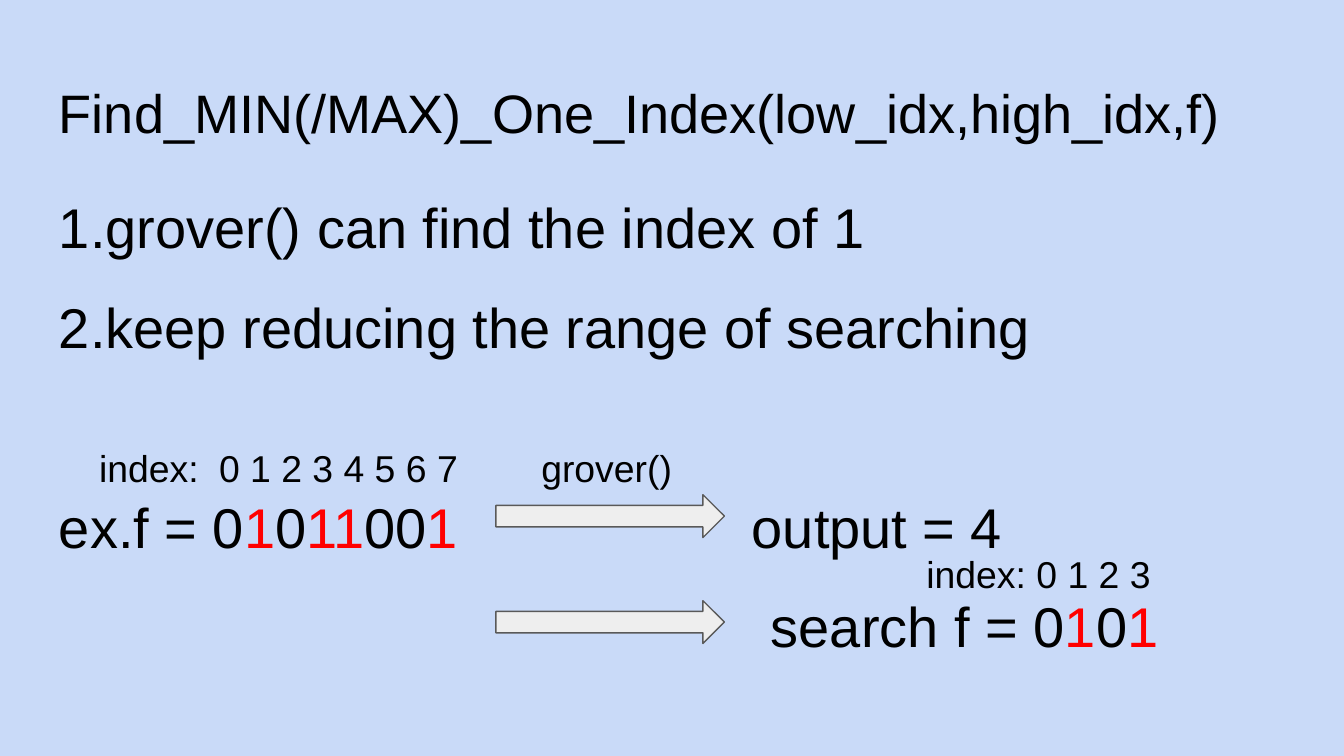
from pptx import Presentation
from pptx.dml.color import RGBColor
from pptx.enum.shapes import MSO_SHAPE
from pptx.util import Pt

RIGHT_ARROW = MSO_SHAPE.RIGHT_ARROW
BLACK, RED = "000000", "FF0000"
BACKGROUND, ARROW_FILL, ARROW_LINE = "C9DAF8", "EEEEEE", "595959"


def color(value):
    return RGBColor.from_string(value)


class SlideBuilder:
    font = "Arial"

    def __init__(self, slide):
        self.slide = slide
        slide.background.fill.solid()
        slide.background.fill.fore_color.rgb = color(BACKGROUND)

    def text(self, left, top, width, height, paragraphs, size, spacing=1.0):
        frame = self.slide.shapes.add_textbox(
            Pt(left), Pt(top), Pt(width), Pt(height)).text_frame
        frame.word_wrap = False
        frame.margin_left = frame.margin_right = Pt(7.2)
        frame.margin_top = frame.margin_bottom = Pt(7.2)
        for number, pieces in enumerate(paragraphs):
            paragraph = frame.add_paragraph() if number else frame.paragraphs[0]
            paragraph.line_spacing = spacing
            if number:
                paragraph.space_before = Pt(12)
            for content, shade in pieces:
                run = paragraph.add_run()
                run.text = content
                run.font.name = self.font
                run.font.size = Pt(size)
                run.font.color.rgb = color(shade)

    def body(self, left, top, width, height, *paragraphs):
        self.text(left, top, width, height, paragraphs, 30, 1.15)

    def label(self, left, top, width, content):
        self.text(left, top, width, 38.9, [[(content, BLACK)]], 20)

    def arrow(self, left, top, width, height):
        arrow = self.slide.shapes.add_shape(
            RIGHT_ARROW, Pt(left), Pt(top), Pt(width), Pt(height))
        arrow.shadow.inherit = False
        arrow.fill.solid()
        arrow.fill.fore_color.rgb = color(ARROW_FILL)
        arrow.line.color.rgb = color(ARROW_LINE)
        arrow.line.width = Pt(0.75)


def main():
    presentation = Presentation()
    presentation.slide_width = Pt(720)
    presentation.slide_height = Pt(405)
    builder = SlideBuilder(
        presentation.slides.add_slide(presentation.slide_layouts[6]))

    margin, body_top, row_step = 24.5, 90.7, 53.45
    example_top = body_top + 3 * row_step
    search_top = example_top + row_step

    builder.text(margin, 35.3, 671, 45.4,
                 [[("Find_MIN(/MAX)_One_Index(low_idx,high_idx,f)", BLACK)]], 29)
    builder.body(margin, body_top, 671, 108,
                 [("1.grover() can find the index of 1", BLACK)],
                 [("2.keep reducing the range of searching", BLACK)])
    builder.body(margin, example_top, 235, 54,
                 [("ex.f = 0", BLACK), ("1", RED), ("0", BLACK), ("11", RED),
                  ("00", BLACK), ("1", RED)])
    builder.body(395.7, example_top, 155, 54, [("output = 4", BLACK)])
    builder.body(405.9, search_top, 230, 54,
                 [("search f = 0", BLACK), ("1", RED), ("0", BLACK), ("1", RED)])

    index_top = 231.1
    for left, width, content in [(46, 68, "index:"),
                                 (110.3, 144, "0 1 2 3 4 5 6 7"),
                                 (282.9, 86, "grover()")]:
        builder.label(left, index_top, width, content)
    builder.label(489.2, 288, 136, "index: 0 1 2 3")

    for arrow_top in (265, 321.8):
        builder.arrow(265.7, arrow_top, 122.4, 23)

    presentation.save("out.pptx")


if __name__ == "__main__":
    main()
